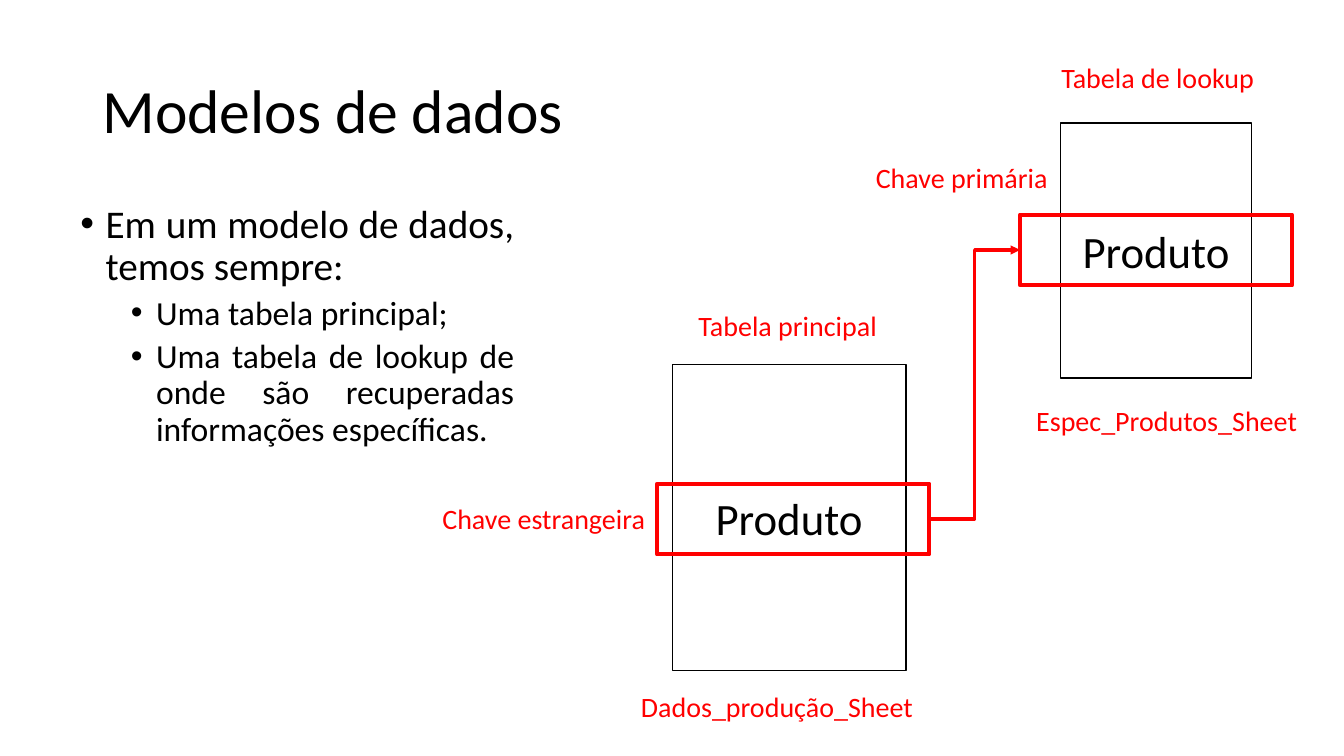
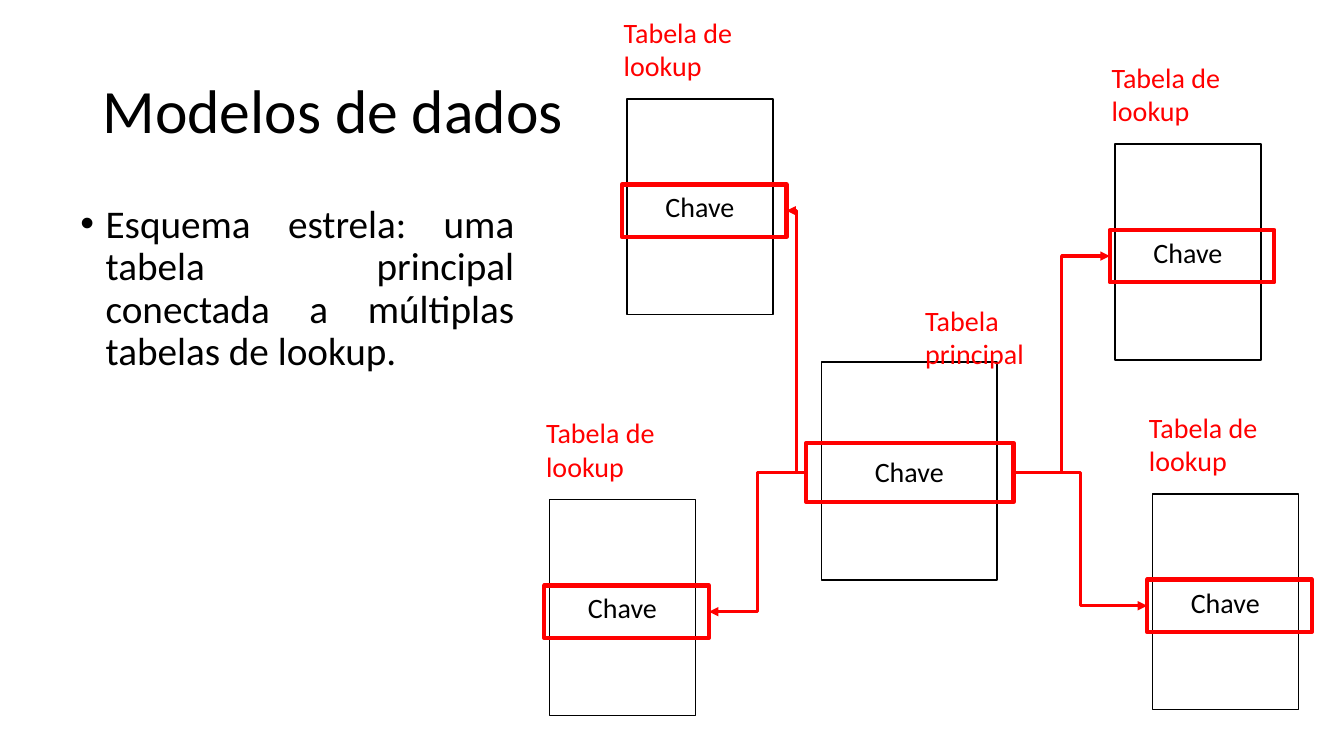
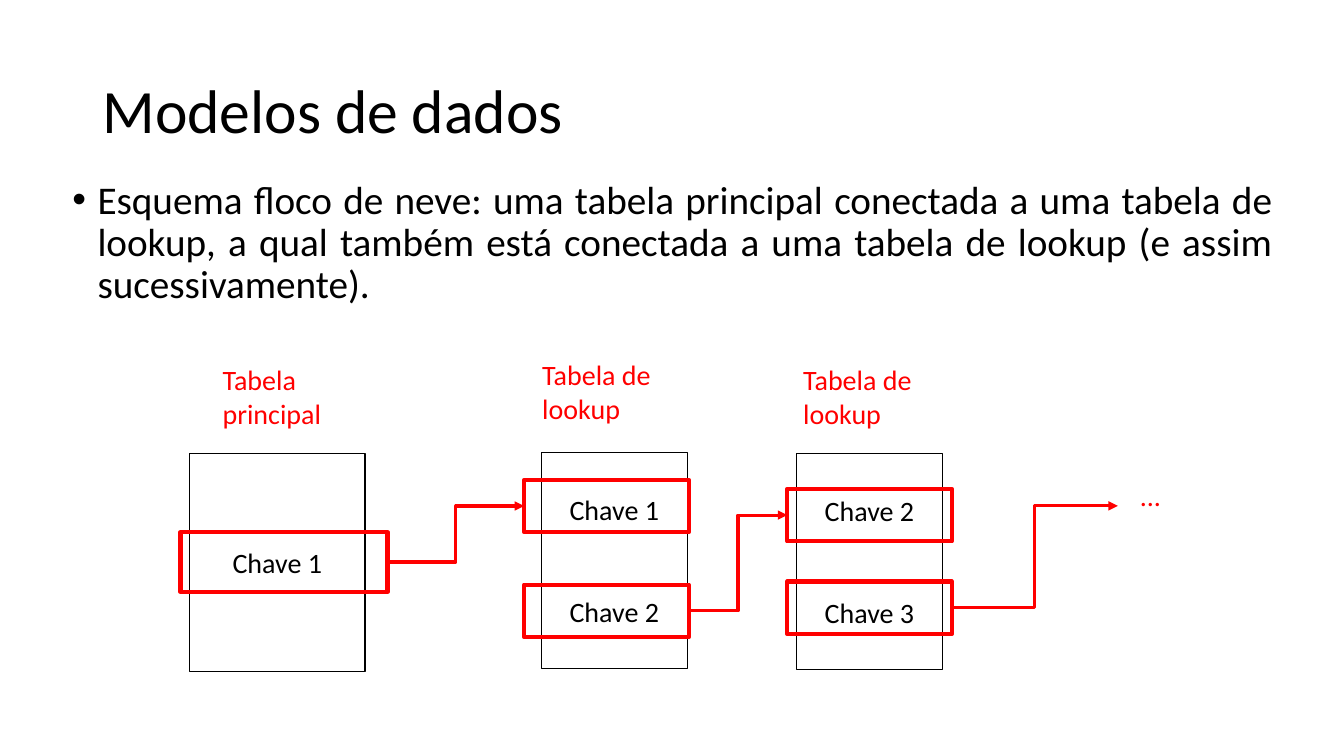
import pptx
import pptx.dml.color
import pptx.enum.shapes
import pptx.enum.text
import pptx.oxml.ns
import pptx.util
from lxml import etree

Pt = pptx.util.Pt
qn = pptx.oxml.ns.qn
RGBColor = pptx.dml.color.RGBColor
ALIGN = pptx.enum.text.PP_ALIGN
ANCHOR = pptx.enum.text.MSO_ANCHOR
RECTANGLE = pptx.enum.shapes.MSO_SHAPE.RECTANGLE
ELBOW = pptx.enum.shapes.MSO_CONNECTOR.ELBOW

BLACK = RGBColor(0, 0, 0)
WHITE = RGBColor(255, 255, 255)
RED = RGBColor(255, 0, 0)

LEFT_SITE, RIGHT_SITE = 1, 3
BULLET_LEVELS = [
    {"size": 28, "margin": 18, "space": 10},
    {"size": 24, "margin": 54, "space": 5},
]
MAIN_SIZE = (125.4, 155.8)
MAIN_KEY_SIZE = (148, 42.5)
LOOKUP_SIZE = (104.4, 154.2)
LOOKUP_KEY_SIZE = (117.6, 37.5)
LABEL_SIZE = (117.4, 55.4)
MAIN_LABEL_SIZE = (109.4, 55.4)


def set_values(target, values):
    for name, value in values.items():
        setattr(target, name, value)


class Deck:
    def __init__(self):
        self.presentation = pptx.Presentation()
        set_values(self.presentation, {"slide_width": Pt(960), "slide_height": Pt(540)})
        self.slide = None

    def add_text(self, paragraph, text, size, color=BLACK, **values):
        run = paragraph.add_run()
        run.text = text
        set_values(run.font, {"name": "Calibri", "size": Pt(size)})
        run.font.color.rgb = color
        set_values(paragraph, values)

    def add_slide(self, title):
        self.slide = self.presentation.slides.add_slide(
            self.presentation.slide_layouts[5])
        shape = self.slide.shapes.title
        set_values(shape, {"left": Pt(66), "top": Pt(28.8),
                           "width": Pt(828), "height": Pt(104.4)})
        set_values(shape.text_frame,
                   {"vertical_anchor": ANCHOR.MIDDLE, "word_wrap": True})
        self.add_text(shape.text_frame.paragraphs[0], title, 44,
                      alignment=ALIGN.LEFT, line_spacing=0.9)

    def add_bullets(self, box, *items):
        """Each item is a pair of level and text."""
        frame = self.slide.shapes.add_textbox(*map(Pt, box)).text_frame
        frame.word_wrap = True
        for index, (level, text) in enumerate(items):
            paragraph = frame.add_paragraph() if index else frame.paragraphs[0]
            style = BULLET_LEVELS[level]
            self.add_text(paragraph, text, style["size"], level=level,
                          alignment=ALIGN.JUSTIFY, line_spacing=0.9,
                          space_before=Pt(style["space"]))
            properties = paragraph._p.get_or_add_pPr()
            properties.set("marL", str(Pt(style["margin"])))
            properties.set("indent", str(Pt(-18)))
            etree.SubElement(properties, qn("a:buFont")).set("typeface", "Arial")
            etree.SubElement(properties, qn("a:buChar")).set("char", "•")

    def add_rectangle(self, box, color, weight):
        shape = self.slide.shapes.add_shape(RECTANGLE, *map(Pt, box))
        shape.shadow.inherit = False
        shape.line.color.rgb = color
        shape.line.width = Pt(weight)
        return shape

    def add_data_table(self, box, *fields, size=20):
        """Draw a box that stands for a data table and names its key fields."""
        shape = self.add_rectangle(box, BLACK, 1)
        shape.fill.solid()
        shape.fill.fore_color.rgb = WHITE
        frame = shape.text_frame
        set_values(frame, {"vertical_anchor": ANCHOR.MIDDLE, "word_wrap": True})
        for index, field in enumerate(fields):
            paragraph = frame.add_paragraph() if index else frame.paragraphs[0]
            self.add_text(paragraph, field, size, alignment=ALIGN.CENTER,
                          space_before=Pt(48.8 if index else 0))

    def add_key(self, box):
        shape = self.add_rectangle(box, RED, 3)
        shape.fill.background()
        return shape

    def add_label(self, box, text, wrap=True):
        frame = self.slide.shapes.add_textbox(*map(Pt, box)).text_frame
        set_values(frame, {"word_wrap": wrap,
                           "auto_size": pptx.enum.text.MSO_AUTO_SIZE.SHAPE_TO_FIT_TEXT})
        self.add_text(frame.paragraphs[0], text, 20, RED)

    def add_link(self, source, target=None, end=(0, 0)):
        """Join two keys by their facing sides, or a key to a free end point."""
        connector = self.slide.shapes.add_connector(
            ELBOW, source.left + source.width, source.top + source.height // 2,
            *map(Pt, end))
        if target is None:
            connector.begin_connect(source, RIGHT_SITE)
        else:
            sites = (RIGHT_SITE, LEFT_SITE)
            if target.left < source.left:
                sites = sites[::-1]
            connector.begin_connect(source, sites[0])
            connector.end_connect(target, sites[1])
        connector.line.color.rgb = RED
        connector.line.width = Pt(2.25)
        properties = connector.element.spPr
        etree.SubElement(properties.find(qn("a:ln")), qn("a:tailEnd")).set(
            "type", "triangle")
        etree.SubElement(properties, qn("a:effectLst"))


def build_relation(deck):
    deck.add_slide("Modelos de dados")
    deck.add_bullets(
        (50.4, 142.6, 324, 378),
        (0, "Em um modelo de dados, temos sempre:"),
        (1, "Uma tabela principal;"),
        (1, "Uma tabela de lookup de onde são recuperadas informações específicas."))
    deck.add_data_table((480.2, 260.6, 167, 218.2), "Produto", size=32)
    deck.add_data_table((757.4, 87.8, 136.8, 182.2), "Produto", size=32)
    foreign_key = deck.add_key((469.4, 345.6, 194.4, 50.4))
    primary_key = deck.add_key((728.6, 153.4, 194.4, 50.4))
    deck.add_link(foreign_key, primary_key)
    for left, top, width, text in [
        (491.8, 216.7, 143.3, "Tabela principal"),
        (751, 39.6, 153.4, "Tabela de lookup"),
        (308.9, 355, 160.6, "Chave estrangeira"),
        (618.5, 110.9, 138.2, "Chave primária"),
        (450.7, 488.9, 211, "Dados_produção_Sheet"),
        (733, 284.4, 203, "Espec_Produtos_Sheet"),
    ]:
        deck.add_label((left, top, width, 31.7), text, wrap=False)


def build_star(deck):
    deck.add_slide("Modelos de dados")
    deck.add_bullets(
        (50.4, 142.6, 324, 141.8),
        (0, "Esquema estrela: uma tabela principal conectada a múltiplas "
            "tabelas de lookup."))
    deck.add_data_table((586.8, 258.5, *MAIN_SIZE), "Chave")
    main_key = deck.add_key((576, 316.2, *MAIN_KEY_SIZE))
    deck.add_label((653.8, 213.1, *MAIN_LABEL_SIZE), "Tabela principal")
    for left, top in [(796.3, 103), (823, 352.8), (392.4, 357), (447.8, 70.6)]:
        deck.add_data_table((left, top, *LOOKUP_SIZE), "Chave")
        lookup_key = deck.add_key((left - 3.6, top + 61.2, *LOOKUP_KEY_SIZE))
        deck.add_label((left - 9.4, top - 63.4, *LABEL_SIZE), "Tabela de lookup")
        deck.add_link(main_key, lookup_key)


def build_snowflake(deck):
    deck.add_slide("Modelos de dados")
    deck.add_bullets(
        (44.6, 125.3, 871.2, 141.8),
        (0, "Esquema floco de neve: uma tabela principal conectada a uma tabela "
            "de lookup, a qual também está conectada a uma tabela de lookup "
            "(e assim sucessivamente)."))
    deck.add_data_table((135.4, 324, *MAIN_SIZE), "Chave 1")
    outgoing_key = deck.add_key((128.9, 380.2, *MAIN_KEY_SIZE))
    deck.add_label((151.9, 255.6, *MAIN_LABEL_SIZE), "Tabela principal")
    for table, key_left, key_tops, label, fields in [
        ((386.6, 323.3), 374.4, (342.7, 417.6), (380.2, 252), ("Chave 1", "Chave 2")),
        ((568.8, 324), 562.3, (349.2, 415.4), (566.6, 255.6), ("Chave 2", "Chave 3")),
    ]:
        deck.add_data_table((*table, *LOOKUP_SIZE), *fields)
        incoming_key, next_key = [
            deck.add_key((key_left, top, *LOOKUP_KEY_SIZE)) for top in key_tops]
        deck.add_label((*label, *LABEL_SIZE), "Tabela de lookup")
        deck.add_link(outgoing_key, incoming_key)
        outgoing_key = next_key
    deck.add_link(outgoing_key, end=(798.5, 361.4))
    deck.add_label((807.1, 338.4, 117.4, 31.7), "...")


def main():
    deck = Deck()
    for build in (build_relation, build_star, build_snowflake):
        build(deck)
    deck.presentation.save("out.pptx")


if __name__ == "__main__":
    main()
